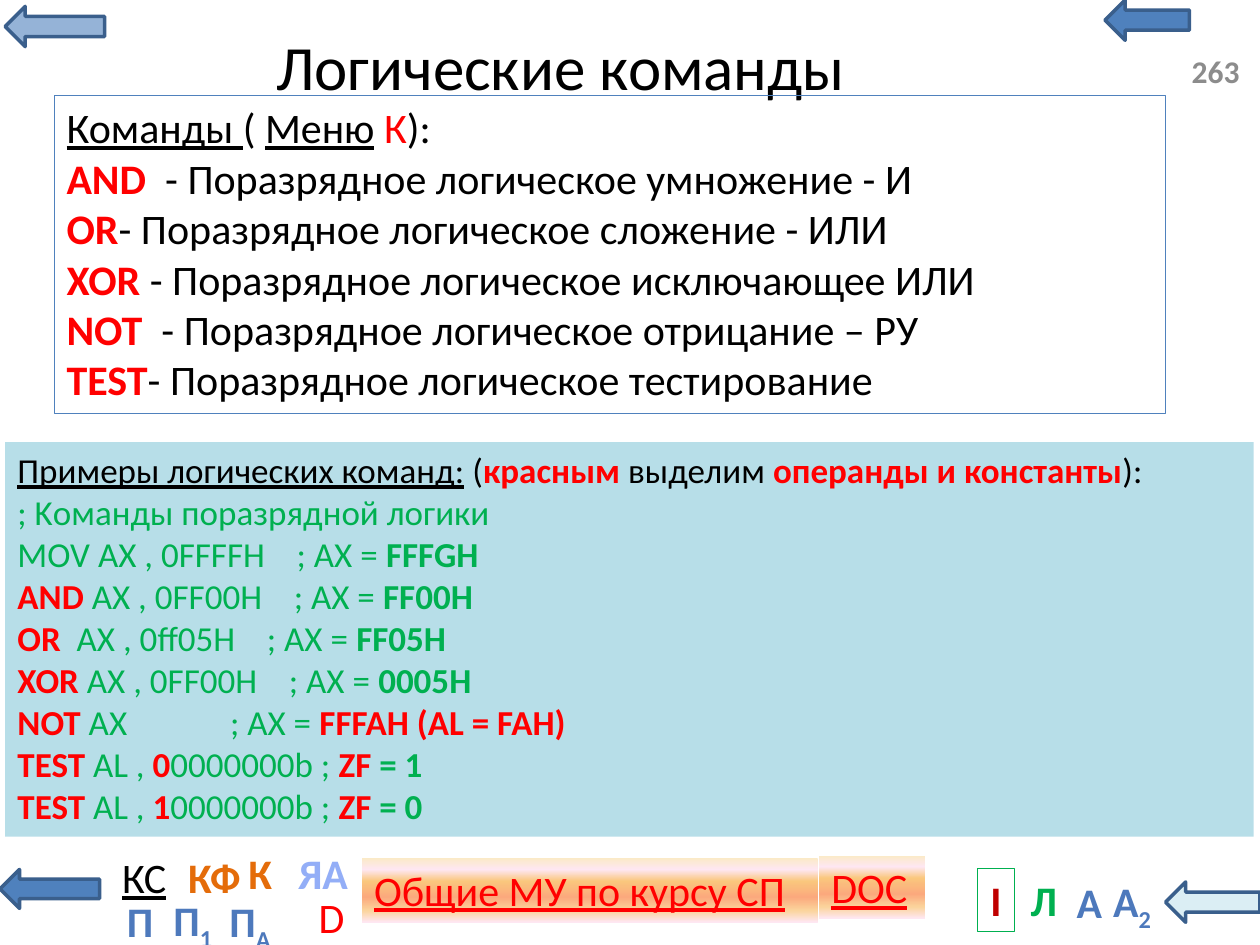
"""Build the slide on logical commands with its navigation bar."""
from lxml.etree import SubElement
from pptx import Presentation
from pptx.dml.color import RGBColor
from pptx.enum.shapes import MSO_SHAPE
from pptx.enum.text import MSO_ANCHOR, PP_ALIGN
from pptx.oxml.ns import qn
from pptx.util import Inches, Pt

BLACK, RED, GREEN, BLUE, ORANGE = "000000", "FF0000", "00B050", "4D79BC", "E46C0A"
PLAIN, UNDERLINED = (BLACK, ""), (BLACK, "u")
KEY, CODE, RESULT = (RED, "b"), (GREEN, ""), (GREEN, "b")

COMMANDS = [
    ("AND ", " - Поразрядное логическое умножение - И"),
    ("OR", "- Поразрядное логическое сложение - ИЛИ"),
    ("XOR", " - Поразрядное логическое исключающее ИЛИ"),
    ("NOT ", " - Поразрядное логическое отрицание – РУ"),
    ("TEST", "- Поразрядное логическое тестирование"),
]
COMMAND_LINES = [
    [("Команды ", UNDERLINED), ("( ", PLAIN), ("Меню", UNDERLINED), (" К", (RED, "")), ("):", PLAIN)],
    *[[(name, KEY), (meaning, PLAIN)] for name, meaning in COMMANDS],
]

OPERATIONS = [
    ("AND", " AX , 0FF00H    ; AX = ", "FF00H", RESULT),
    ("OR", "  AX , 0ff05H    ; AX = ", "FF05H", RESULT),
    ("XOR", " AX , 0FF00H    ; AX = ", "0005H", RESULT),
    ("NOT", " AX             ; AX = ", "FFFAH (AL = FAH)", KEY),
]
TESTS = [("0", " = 1"), ("1", " = 0")]
EXAMPLE_LINES = [
    [("Примеры логических команд:", UNDERLINED), (" (", PLAIN), ("красным", KEY),
     (" выделим ", PLAIN), ("операнды и константы", KEY), ("):", PLAIN)],
    [("; Kоманды поразрядной логики", CODE)],
    [("MOV AX , 0FFFFH    ; AX = ", CODE), ("FFFGH", RESULT)],
    *[[(name, KEY), (code, CODE), (value, style)] for name, code, value, style in OPERATIONS],
    *[[("TEST", KEY), (" AL , ", CODE), (bit, KEY), ("0000000b ; ", CODE), ("ZF", KEY), (flag, RESULT)]
      for bit, flag in TESTS],
]

# All areas are left, top, width, height in percent of the slide.
ARROWS = [
    ((87.7, 0, 6.7, 4.27), "4F81BD"),
    ((0, 92, 7.9, 4.13), "4F81BD"),
    ((0.4, 0.67, 7.9, 4.27), "95B3D7"),
    ((92.5, 93.33, 7.5, 4.27), "DBEEF4"),
]
LINKS = [
    ("Общие МУ по курсу СП", (28.7, 90.8, 36.2, 6.8)),
    ("DOC", (65, 90.53, 8.4, 6.67)),
]
LINK_STOPS = [(0, "FBEAC7"), (18, "FEE7F2"), (36, "FAC77D"), (61, "FBA97D"), (82, "FBD49C"), (100, "FEE7F2")]
LABEL_HEIGHT = 6.67
LABELS = [
    ("А", "", 84.4, 92.13, 4.1, BLUE, "b"),
    ("К", "", 18.7, 89.07, 3.9, ORANGE, "b"),
    ("D", "", 24.3, 93.73, 3.9, RED, ""),
    ("I", "", 77.6, 91.87, 2.9, "C00000", "b"),
    ("Л", "", 80.8, 91.87, 4.1, GREEN, "b"),
    ("А", "2", 87.2, 92, 5.3, BLUE, "b"),
    ("ЯА", "", 22.5, 89.07, 6.3, "93AEF7", "b"),
    ("П", "", 9.1, 94.13, 3.3, BLUE, "b"),
    ("П", "1", 12.6, 94, 5.4, BLUE, "b"),
    ("КС", "", 8.3, 89.47, 6.3, BLACK, "u"),
    ("КФ", "", 13.9, 89.47, 6.2, ORANGE, "b"),
    ("П", "А", 17.1, 94.13, 5.5, BLUE, "b"),
]

deck = Presentation()
deck.slide_width, deck.slide_height = Inches(10), Inches(7.5)
slide = deck.slides.add_slide(deck.slide_layouts[5])


def rgb(color):
    """Turn a hex string into a colour."""
    return RGBColor.from_string(color)


def area(left, top, width, height):
    """Turn percentages of the slide into lengths."""
    across, down = deck.slide_width / 100, deck.slide_height / 100
    return [round(v) for v in (left * across, top * down, width * across, height * down)]


def write(frame, lines, size, align=PP_ALIGN.LEFT, wrap=True):
    """Write lines of styled runs and return the last run."""
    frame.word_wrap = wrap
    for index, line in enumerate(lines):
        paragraph = frame.add_paragraph() if index else frame.paragraphs[0]
        paragraph.alignment = align
        for text, (color, marks) in line:
            run = paragraph.add_run()
            run.text = text
            run.font.name, run.font.size = "Calibri", Pt(size)
            run.font.bold, run.font.underline = "b" in marks, "u" in marks
            run.font.color.rgb = rgb(color)
    return run


def text_box(place, lines, size, **layout):
    """Add a text box filled with styled lines."""
    box = slide.shapes.add_textbox(*area(*place))
    return box, write(box.text_frame, lines, size, **layout)


def outline(shape, color, width=0.75):
    """Draw the border of a shape."""
    shape.line.color.rgb = rgb(color)
    shape.line.width = Pt(width)


def shade(shape, stops):
    """Fill a shape with a vertical gradient."""
    shape.fill.gradient()
    shape.fill.gradient_angle = 270
    stop_list = shape._element.spPr.find(qn("a:gradFill")).find(qn("a:gsLst"))
    for old in list(stop_list):
        stop_list.remove(old)
    for position, color in stops:
        stop = SubElement(stop_list, qn("a:gs"), pos=str(position * 1000))
        SubElement(stop, qn("a:srgbClr"), val=color)


for place, color in ARROWS:
    arrow = slide.shapes.add_shape(MSO_SHAPE.LEFT_ARROW, *area(*place))
    arrow.shadow.inherit = False
    arrow.fill.solid()
    arrow.fill.fore_color.rgb = rgb(color)
    outline(arrow, "3A5F8C", 2)

for caption, place in LINKS:
    link, _ = text_box(place, [[(caption, (RED, "u"))]], 24)
    shade(link, LINK_STOPS)

for letter, index, left, top, width, color, marks in LABELS:
    style = (color, marks)
    runs = [(part, style) for part in (letter, index) if part]
    label, last_run = text_box((left, top, width, LABEL_HEIGHT), [runs], 24, align=PP_ALIGN.CENTER, wrap=False)
    if index:
        last_run.font._element.set("baseline", "-25000")
    if letter == "I":
        outline(label, GREEN)

title = slide.shapes.title
title.left, title.top, title.width, title.height = area(13.8, 1.73, 61.4, 10.27)
title.text_frame.vertical_anchor = MSO_ANCHOR.MIDDLE
write(title.text_frame, [[("Логические команды", PLAIN)]], 36, align=PP_ALIGN.CENTER)

number, _ = text_box((93.6, 4.8, 6.4, 5.33), [[("263", ("8C8C8C", "b"))]], 18)
number.text_frame.vertical_anchor = MSO_ANCHOR.MIDDLE

examples, _ = text_box((0.4, 46.8, 99.1, 41.73), EXAMPLE_LINES, 20)
examples.fill.solid()
examples.fill.fore_color.rgb = rgb("B7DEE8")

commands, _ = text_box((4.3, 10.13, 88.2, 33.6), COMMAND_LINES, 24)
outline(commands, "4F81BD")

deck.save("out.pptx")
